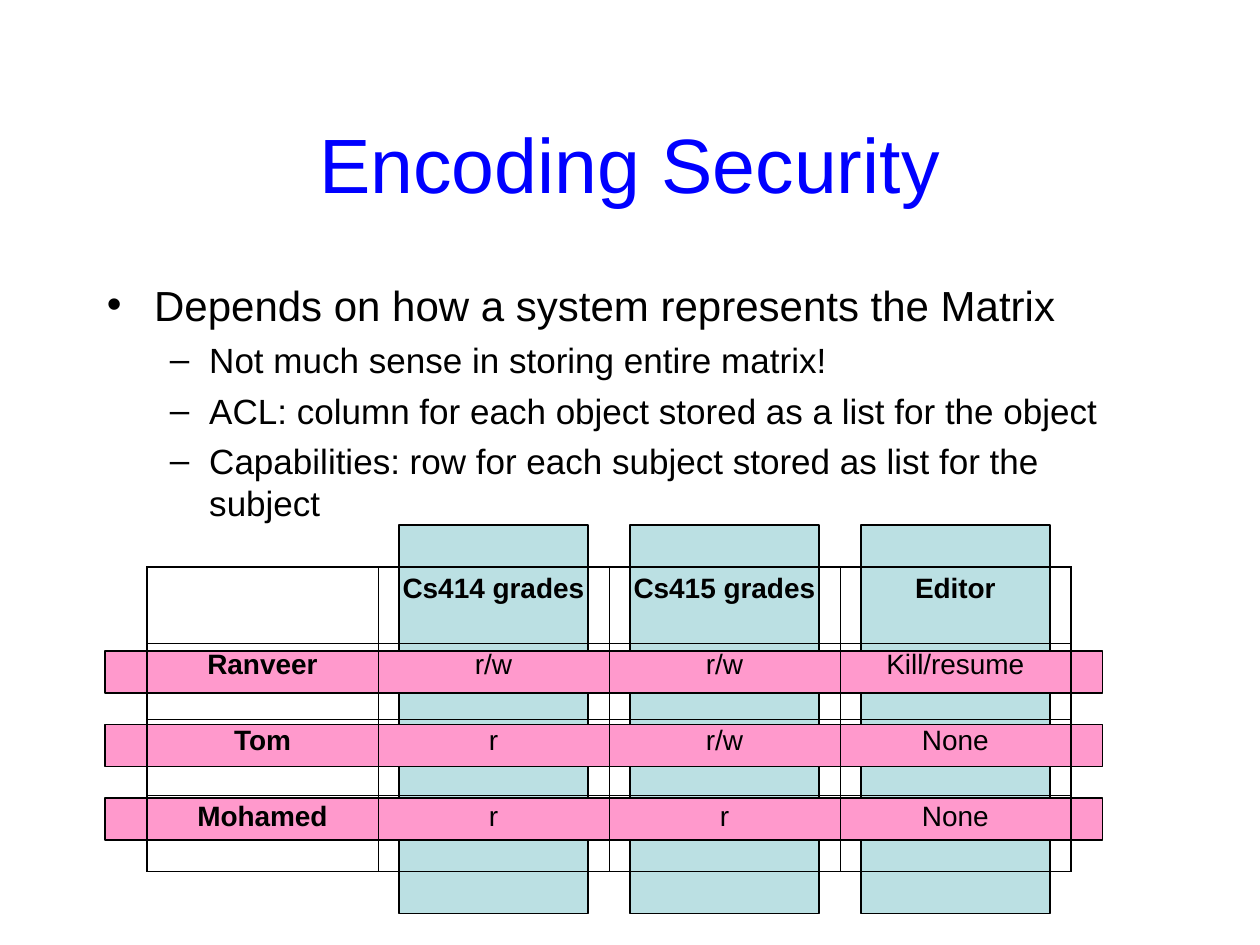
from dataclasses import dataclass

from lxml import etree
from pptx import Presentation
from pptx.dml.color import RGBColor
from pptx.enum.shapes import MSO_SHAPE
from pptx.enum.text import MSO_ANCHOR, PP_ALIGN
from pptx.oxml.ns import qn
from pptx.util import Pt

RECTANGLE = MSO_SHAPE.RECTANGLE
CENTER = PP_ALIGN.CENTER
MIDDLE = MSO_ANCHOR.MIDDLE


@dataclass(frozen=True)
class Theme:
    font: str = "Arial"
    title_color: str = "0000FF"
    ink: str = "000000"
    object_fill: str = "BBE0E3"
    subject_fill: str = "FF99CC"
    title_size: float = 44
    point_size: float = 24
    subpoint_size: float = 20
    cell_size: float = 16
    outline: float = 0.75
    inner_border: float = 0.45
    outer_border: float = 1.08


@dataclass(frozen=True)
class Box:
    left: float
    top: float
    width: float
    height: float

    def lengths(self):
        return Pt(self.left), Pt(self.top), Pt(self.width), Pt(self.height)


@dataclass(frozen=True)
class Level:
    bullet: str
    size: float
    margin: float
    indent: float
    space_before: float


THEME = Theme()
POINT = Level("•", THEME.point_size, 27, -27, 6)
SUBPOINT = Level("–", THEME.subpoint_size, 58.5, -22.5, 5)

POINTS = [
    (POINT, "Depends on how a system represents the Matrix"),
    (SUBPOINT, "Not much sense in storing entire matrix!"),
    (SUBPOINT, "ACL: column for each object stored as a list for the object"),
    (SUBPOINT, "Capabilities: row for each subject stored as list for the subject"),
]
MATRIX = [
    ["", "Cs414 grades", "Cs415 grades", "Editor"],
    ["Ranveer", "r/w", "r/w", "Kill/resume"],
    ["Tom", "r", "r/w", "None"],
    ["Mohamed", "r", "r", "None"],
]


def add_run(paragraph, text, size, color=THEME.ink, bold=False):
    run = paragraph.add_run()
    run.text = text
    run.font.name = THEME.font
    run.font.size = Pt(size)
    run.font.bold = bold
    run.font.color.rgb = RGBColor.from_string(color)


def add_solid_fill(parent, color):
    fill = etree.SubElement(parent, qn("a:solidFill"))
    etree.SubElement(fill, qn("a:srgbClr"), val=color)


def add_text_frame(slide, box):
    frame = slide.shapes.add_textbox(*box.lengths()).text_frame
    frame.word_wrap = True
    return frame


def add_title(slide, box, text):
    frame = add_text_frame(slide, box)
    frame.vertical_anchor = MIDDLE
    paragraph = frame.paragraphs[0]
    paragraph.alignment = CENTER
    add_run(paragraph, text, THEME.title_size, THEME.title_color)


def set_bullet(paragraph, level):
    properties = paragraph._p.get_or_add_pPr()
    properties.set("marL", str(Pt(level.margin)))
    properties.set("indent", str(Pt(level.indent)))
    color = etree.SubElement(properties, qn("a:buClr"))
    etree.SubElement(color, qn("a:srgbClr"), val=THEME.ink)
    etree.SubElement(properties, qn("a:buFont"), typeface=THEME.font)
    etree.SubElement(properties, qn("a:buChar"), char=level.bullet)


def add_points(slide, box, points):
    frame = add_text_frame(slide, box)
    for index, (level, text) in enumerate(points):
        paragraph = frame.add_paragraph() if index else frame.paragraphs[0]
        paragraph.level = 0 if level is POINT else 1
        paragraph.space_before = Pt(level.space_before)
        set_bullet(paragraph, level)
        add_run(paragraph, text, level.size)


def add_bands(slide, box, count, step_x, step_y, color):
    for index in range(count):
        band = Box(box.left + index * step_x, box.top + index * step_y, box.width, box.height)
        shape = slide.shapes.add_shape(RECTANGLE, *band.lengths())
        shape.shadow.inherit = False
        shape.fill.solid()
        shape.fill.fore_color.rgb = RGBColor.from_string(color)
        shape.line.color.rgb = RGBColor.from_string(THEME.ink)
        shape.line.width = Pt(THEME.outline)


def set_borders(cell, outer_sides):
    properties = cell._tc.get_or_add_tcPr()
    for side, is_outer in outer_sides.items():
        width = THEME.outer_border if is_outer else THEME.inner_border
        line = etree.SubElement(properties, qn(f"a:ln{side}"), w=str(Pt(width)))
        add_solid_fill(line, THEME.ink)


def add_matrix(slide, box, rows):
    row_count, column_count = len(rows), len(rows[0])
    table = slide.shapes.add_table(row_count, column_count, *box.lengths()).table
    table.first_row = False
    table.horz_banding = False
    for column in table.columns:
        column.width = Pt(box.width / column_count)
    for row_index, row in enumerate(rows):
        table.rows[row_index].height = Pt(box.height / row_count)
        for column_index, text in enumerate(row):
            cell = table.cell(row_index, column_index)
            set_borders(cell, {
                "L": column_index == 0,
                "R": column_index == column_count - 1,
                "T": row_index == 0,
                "B": row_index == row_count - 1,
            })
            cell.fill.background()
            if text:
                paragraph = cell.text_frame.paragraphs[0]
                paragraph.alignment = CENTER
                paragraph.space_before = Pt(4)
                is_header = row_index == 0 or column_index == 0
                add_run(paragraph, text, THEME.cell_size, bold=is_header)


def add_access_matrix(slide, box, rows):
    column_width = box.width / len(rows[0])
    object_band = Box(box.left + column_width + 12, box.top - 24, column_width - 24, box.height + 48)
    subject_band = Box(box.left - 24, box.top + 48, box.width + 42, 24)
    add_bands(slide, object_band, len(rows[0]) - 1, column_width, 0, THEME.object_fill)
    add_bands(slide, subject_band, len(rows) - 1, 0, 42, THEME.subject_fill)
    add_matrix(slide, box, rows)


def main():
    presentation = Presentation()
    presentation.slide_width = Pt(720)
    presentation.slide_height = Pt(540)
    slide = presentation.slides.add_slide(presentation.slide_layouts[6])
    add_title(slide, Box(54, 48, 612, 90), "Encoding Security")
    add_points(slide, Box(54, 156, 612, 324), POINTS)
    add_access_matrix(slide, Box(84, 324, 528, 174), MATRIX)
    presentation.save("out.pptx")


if __name__ == "__main__":
    main()
